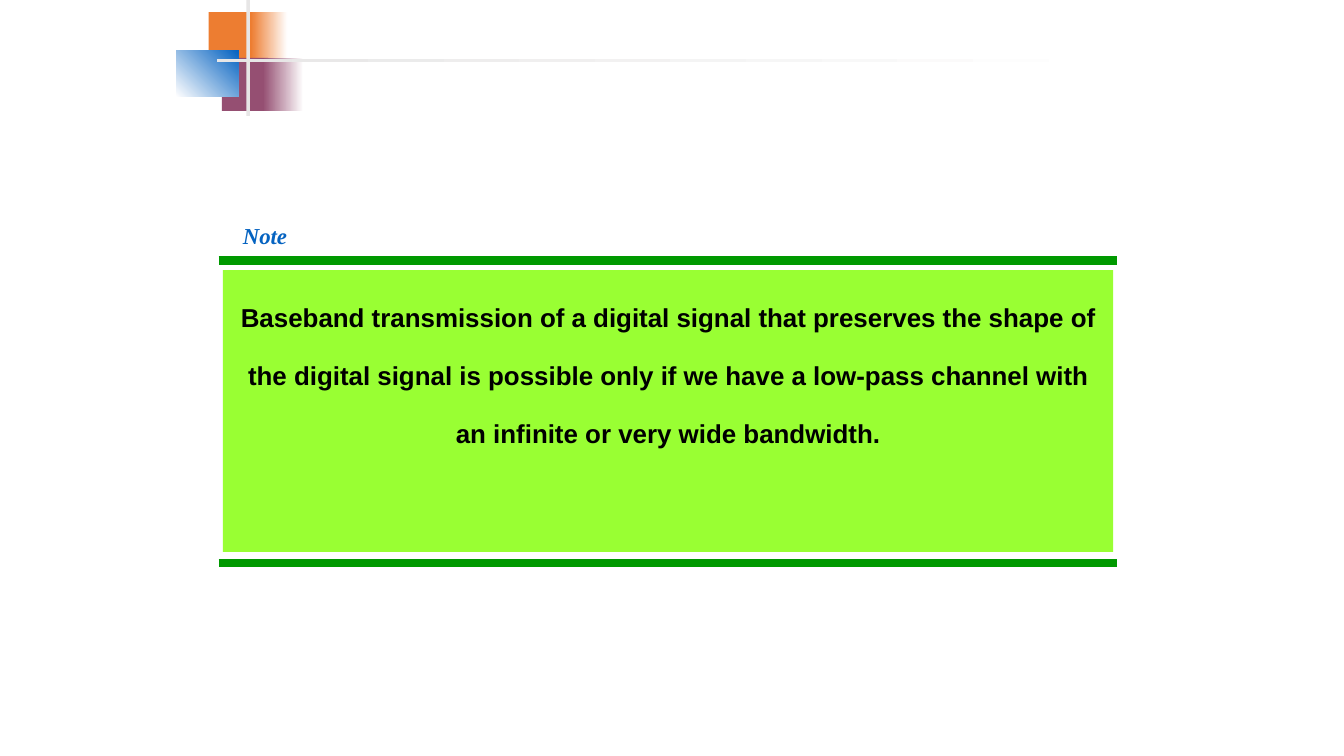
import pptx
import pptx.dml.color
import pptx.enum.shapes
import pptx.enum.text
import pptx.oxml.ns
import pptx.util
from lxml import etree

# Grid: square cells, 133.3 columns by 75 rows
CELL = pptx.util.Inches(0.1)
COLUMNS, ROWS = 133.3, 75

COLORS = {
    "orange": "ED7D31",
    "plum": "954F72",
    "blue": "0563C1",
    "gray": "E7E6E6",
    "white": "FFFFFF",
    "rule": "009900",
    "panel": "99FF33",
    "black": "000000",
}

STATEMENT = (
    "Baseband transmission of a digital signal that preserves the shape of "
    "the digital signal is possible only if we have a low-pass channel with "
    "an infinite or very wide bandwidth."
)


def cells(*counts):
    return [round(count * CELL) for count in counts]


def color(name):
    return pptx.dml.color.RGBColor.from_string(COLORS[name])


def add_block(page, area, *names, angle=0):
    """Rectangle with one colour, or a gradient between two."""
    block = page.shapes.add_shape(
        pptx.enum.shapes.MSO_SHAPE.RECTANGLE, *cells(*area))
    block.shadow.inherit = False
    block.line.fill.background()
    if len(names) == 1:
        block.fill.solid()
        block.fill.fore_color.rgb = color(names[0])
    else:
        block.fill.gradient()
        block.fill.gradient_angle = angle
        for stop, name in zip(block.fill.gradient_stops, names):
            stop.color.rgb = color(name)
    return block


def add_rule(page, left, right, row):
    rule = page.shapes.add_connector(
        pptx.enum.shapes.MSO_CONNECTOR.STRAIGHT, *cells(left, row, right, row))
    rule.line.color.rgb = color("rule")
    rule.line.width = pptx.util.Pt(6)
    etree.SubElement(rule._element.spPr, pptx.oxml.ns.qn("a:effectLst"))


def write(box, text, font, size, name, align, italic=False):
    frame = box.text_frame
    frame.word_wrap = True
    frame.vertical_anchor = pptx.enum.text.MSO_ANCHOR.TOP
    para = frame.paragraphs[0]
    para.text = text
    para.alignment = align
    para.line_spacing = 1.86
    para.font.name = font
    para.font.size = pptx.util.Pt(size)
    para.font.bold = True
    para.font.italic = italic
    para.font.color.rgb = color(name)


def add_ornament(page):
    # Solid squares, each fading out to the right
    add_block(page, (20.7, 1.2, 4.8, 5.2), "orange")
    add_block(page, (24.9, 1.2, 3.6, 5.2), "orange", "white")
    add_block(page, (22, 5.75, 4.6, 5.25), "plum")
    add_block(page, (26.1, 5.75, 4, 5.25), "plum", "white")
    add_block(page, (17.5, 5, 6.15, 4.6), "white", "blue", angle=45)
    # Crossing bars
    add_block(page, (24.43, 0, 0.35, 11.5), "gray")
    add_block(page, (21.5, 5.83, 90, 0.32), "gray", "white")


def add_note(page):
    align = pptx.enum.text.PP_ALIGN
    for row in (25.83, 55.83):
        add_rule(page, 21.68, 110.83, row)
    panel = add_block(page, (22.1, 26.8, 88.3, 27.95), "panel")
    write(panel, STATEMENT, "Arial", 18.5, "black", align.CENTER)
    label = page.shapes.add_textbox(*cells(23.1, 19.2, 9.6, 5.7))
    write(label, "Note", "Times New Roman", 16.3, "blue", align.LEFT,
          italic=True)


def main():
    deck = pptx.Presentation()
    deck.slide_width, deck.slide_height = cells(COLUMNS, ROWS)
    page = deck.slides.add_slide(deck.slide_layouts[6])
    add_ornament(page)
    add_note(page)
    deck.save("out.pptx")


if __name__ == "__main__":
    main()
